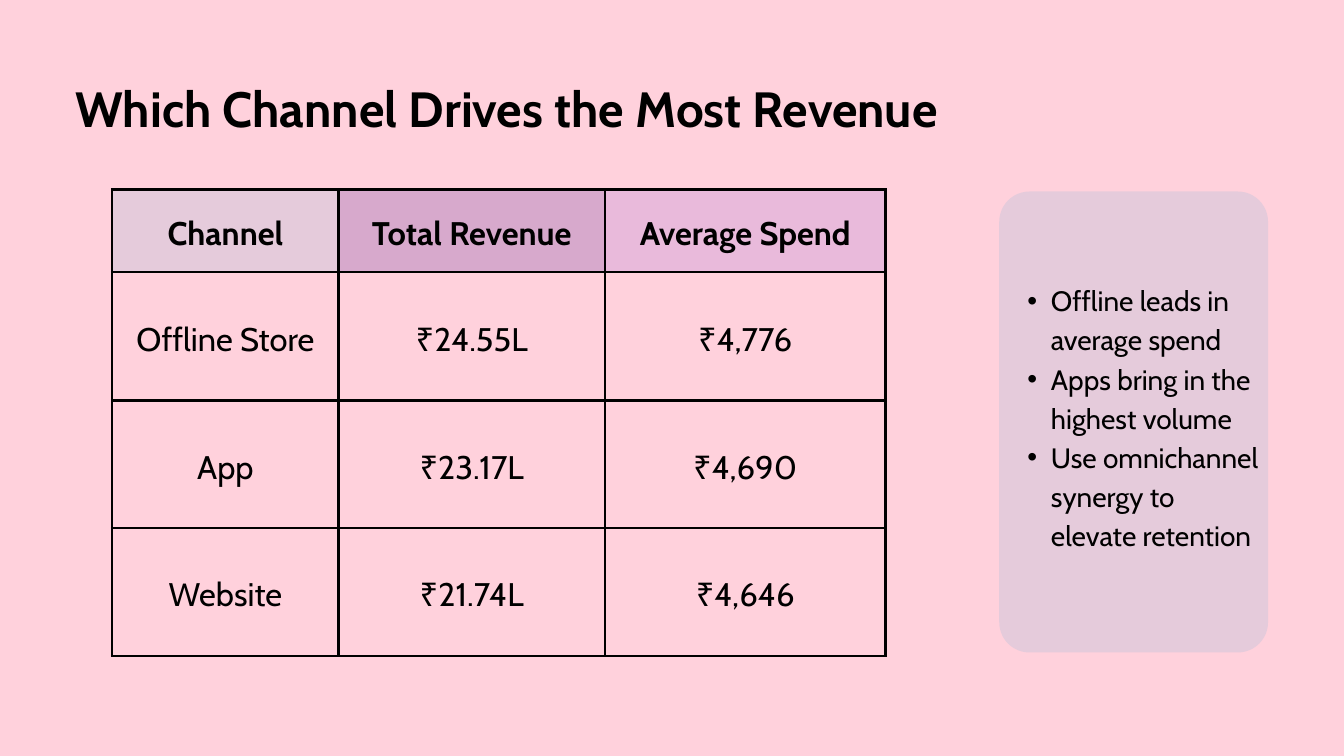
import pptx
import pptx.dml.color
import pptx.enum.shapes
import pptx.enum.text
import pptx.oxml.ns
import pptx.util
from lxml import etree

Inches = pptx.util.Inches
Pt = pptx.util.Pt
qn = pptx.oxml.ns.qn
ALIGN = pptx.enum.text.PP_ALIGN
ANCHOR = pptx.enum.text.MSO_ANCHOR

COLORS = {
    "background": "FFD1DC",
    "ink": "000000",
    "panel": "E5CBDB",
    "revenue": "D7A9CC",
    "spend": "E9BADB",
}


class SlideBuilder:
    font = "Cabin"
    line_ratio = 1.4  # line height relative to the text size

    def __init__(self, slide):
        self.slide = slide

    def color(self, name):
        return pptx.dml.color.RGBColor.from_string(COLORS[name])

    def paint(self, fill, name):
        fill.solid()
        fill.fore_color.rgb = self.color(name)

    def style(self, para, size, bold=False, align=ALIGN.LEFT):
        para.alignment = align
        para.line_spacing = Pt(size * self.line_ratio)
        for span in para.runs:
            span.font.name = self.font
            span.font.size = Pt(size)
            span.font.bold = bold
            span.font.color.rgb = self.color("ink")

    def panel(self, left, top, width, height, radius, color):
        kind = pptx.enum.shapes.MSO_SHAPE.ROUNDED_RECTANGLE
        shape = self.slide.shapes.add_shape(
            kind, Inches(left), Inches(top), Inches(width), Inches(height))
        shape.adjustments[0] = radius / min(width, height)
        shape.shadow.inherit = False
        shape.line.fill.background()
        self.paint(shape.fill, color)

    def text(self, left, top, width, height, text, size, bold=False,
             inset=0, anchor=ANCHOR.TOP):
        box = self.slide.shapes.add_textbox(
            Inches(left), Inches(top), Inches(width), Inches(height))
        frame = box.text_frame
        frame.word_wrap = True
        frame.vertical_anchor = anchor
        frame.margin_left = frame.margin_right = Inches(inset)
        frame.margin_top = frame.margin_bottom = Inches(inset)
        frame.text = text
        for para in frame.paragraphs:
            self.style(para, size, bold)
        return frame

    def bullets(self, left, top, width, height, items, size):
        frame = self.text(left, top, width, height, "\n".join(items), size,
                          inset=0.06, anchor=ANCHOR.MIDDLE)
        for para in frame.paragraphs:
            para.level = 1
            properties = para._p.get_or_add_pPr()
            properties.set("marL", str(Inches(0.71)))
            properties.set("indent", str(Inches(-0.35)))
            etree.SubElement(properties, qn("a:buFont"), typeface="Arial")
            etree.SubElement(properties, qn("a:buChar"), char="•")

    def border(self, cell, width):
        properties = cell._tc.get_or_add_tcPr()
        for side in ("lnL", "lnR", "lnT", "lnB"):
            line = etree.SubElement(properties, qn("a:" + side), w=str(Pt(width)))
            fill = etree.SubElement(line, qn("a:solidFill"))
            etree.SubElement(fill, qn("a:srgbClr"), val=COLORS["ink"])

    def table(self, left, top, widths, heights, rows, header_colors, size):
        table = self.slide.shapes.add_table(
            len(heights), len(widths), Inches(left), Inches(top),
            Inches(sum(widths)), Inches(sum(heights))).table
        for column, width in zip(table.columns, widths):
            column.width = Inches(width)
        for row, height in zip(table.rows, heights):
            row.height = Inches(height)
        for i, values in enumerate(rows):
            for j, value in enumerate(values):
                cell = table.cell(i, j)
                cell.text_frame.text = value
                cell.vertical_anchor = ANCHOR.MIDDLE
                cell.margin_left = cell.margin_right = Inches(0.21)
                cell.margin_top = cell.margin_bottom = Inches(0.21)
                self.style(cell.text_frame.paragraphs[0], size, i == 0, ALIGN.CENTER)
                self.border(cell, 3)
                if i == 0:
                    self.paint(cell.fill, header_colors[j])
                else:
                    cell.fill.background()


def main():
    deck = pptx.Presentation()
    deck.slide_width = Inches(20)
    deck.slide_height = Inches(11.25)
    page = SlideBuilder(deck.slides.add_slide(deck.slide_layouts[6]))
    page.paint(page.slide.background.fill, "background")

    # Takeaways panel
    page.panel(14.87, 2.85, 4, 6.86, 0.45, "panel")
    page.bullets(14.87, 2.65, 4, 7.06, [
        "Offline leads in average spend",
        "Apps bring in the highest volume",
        "Use omnichannel synergy to elevate retention",
    ], 30)

    # Title
    page.text(1.12, 1.01, 17.75, 0.99,
              "Which Channel Drives the Most Revenue", 53, bold=True)

    # Channel table
    page.table(1.67, 2.82, [3.37, 3.96, 4.18], [1.23, 1.91, 1.9, 1.9], [
        ["Channel", "Total Revenue", "Average Spend"],
        ["Offline Store", "₹24.55L", "₹4,776"],
        ["App", "₹23.17L", "₹4,690"],
        ["Website", "₹21.74L", "₹4,646"],
    ], ["panel", "revenue", "spend"], 35)

    deck.save("out.pptx")


if __name__ == "__main__":
    main()
